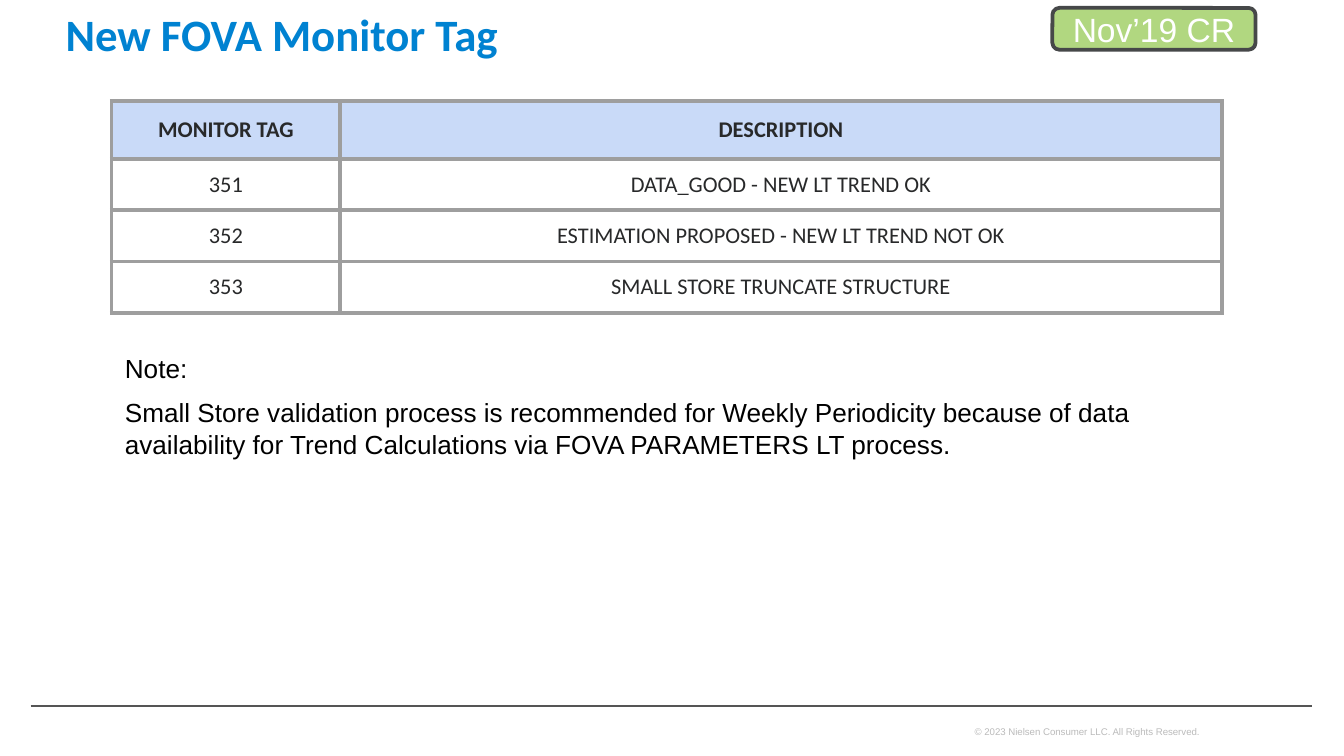
import pptx
import pptx.util
import pptx.dml.color
import pptx.enum.shapes
import pptx.enum.text
import pptx.oxml
import pptx.oxml.ns

Cm = pptx.util.Cm
Pt = pptx.util.Pt
RGBColor = pptx.dml.color.RGBColor
CENTER = pptx.enum.text.PP_ALIGN.CENTER
MIDDLE = pptx.enum.text.MSO_ANCHOR.MIDDLE

BLUE = RGBColor(0x00, 0x82, 0xD1)
GREEN = RGBColor(0xB1, 0xD7, 0x80)
SLATE = RGBColor(0x46, 0x48, 0x49)
WHITE = RGBColor(0xFF, 0xFF, 0xFF)
BLACK = RGBColor(0x00, 0x00, 0x00)
INK = RGBColor(0x28, 0x29, 0x2A)
PALE = RGBColor(0xC9, 0xDA, 0xF8)
GRID = RGBColor(0x9E, 0x9E, 0x9E)
RULE = RGBColor(0x55, 0x55, 0x55)
FAINT = RGBColor(0xBB, 0xBB, 0xBB)


def style(para, face, size, color, bold=False):
    for run in para.runs:
        run.font.name = face
        run.font.size = Pt(size)
        run.font.color.rgb = color
        run.font.bold = bold


def add_text(left, top, width, height, lines, face, size, color, bold=False):
    box = slide.shapes.add_textbox(Cm(left), Cm(top), Cm(width), Cm(height))
    frame = box.text_frame
    frame.word_wrap = True
    frame.text = "\n".join(lines)
    for para in frame.paragraphs:
        style(para, face, size, color, bold)
    return frame


deck = pptx.Presentation()
deck.slide_width = Cm(25.4)
deck.slide_height = Cm(14.28)
slide = deck.slides.add_slide(deck.slide_layouts[6])

foot = add_text(18.42, 13.59, 5.41, 0.48,
                ["© 2023 Nielsen Consumer LLC. All Rights Reserved."],
                "Arial", 5.2, FAINT)
foot.margin_left = foot.margin_right = 0

rule = slide.shapes.add_connector(
    pptx.enum.shapes.MSO_CONNECTOR.STRAIGHT,
    Cm(0.58), Cm(13.33), Cm(24.79), Cm(13.33))
rule.line.color.rgb = RULE
rule.line.width = Pt(1)
rule._element.spPr.append(pptx.oxml.parse_xml(
    f"<a:effectLst {pptx.oxml.ns.nsdecls('a')}/>"))

rows = [
    ("MONITOR TAG", "DESCRIPTION"),
    ("351", "DATA_GOOD - NEW LT TREND OK"),
    ("352", "ESTIMATION PROPOSED - NEW LT TREND NOT OK"),
    ("353", "SMALL STORE TRUNCATE STRUCTURE"),
]
table = slide.shapes.add_table(
    len(rows), 2, Cm(2.11), Cm(1.91), Cm(20.98), Cm(3.99)).table
table.first_row = False
table.horz_banding = False
for col, width in zip(table.columns, (4.32, 16.66)):
    col.width = Cm(width)
for r, row in enumerate(rows):
    head = r == 0
    table.rows[r].height = Cm(1.09 if head else 0.97)
    for c, text in enumerate(row):
        cell = table.cell(r, c)
        cell.text_frame.text = text
        cell.vertical_anchor = MIDDLE
        cell.margin_top = cell.margin_bottom = Cm(0.18)
        para = cell.text_frame.paragraphs[0]
        para.alignment = CENTER
        style(para, "Calibri", 12, INK, head)
        for side in ("lnL", "lnR", "lnT", "lnB"):
            cell._tc.get_or_add_tcPr().append(pptx.oxml.parse_xml(
                f'<a:{side} {pptx.oxml.ns.nsdecls("a")} w="{Pt(2.25)}">'
                f'<a:solidFill><a:srgbClr val="{GRID}"/></a:solidFill>'
                f'</a:{side}>'))
        if head:
            cell.fill.solid()
            cell.fill.fore_color.rgb = PALE
        else:
            cell.fill.background()

add_text(0.99, 0, 9.25, 0.94, ["New FOVA Monitor Tag"],
         "Calibri", 24, BLUE, True)

badge = slide.shapes.add_shape(
    pptx.enum.shapes.MSO_SHAPE.ROUNDED_RECTANGLE,
    Cm(19.89), Cm(0.15), Cm(3.84), Cm(0.79))
badge.shadow.inherit = False
badge.fill.solid()
badge.fill.fore_color.rgb = GREEN
badge.line.color.rgb = SLATE
badge.line.width = Pt(2)
badge.text_frame.text = "Nov’19 CR"
badge.text_frame.vertical_anchor = MIDDLE
label = badge.text_frame.paragraphs[0]
label.alignment = CENTER
style(label, "Arial", 18, WHITE)

note = add_text(2.11, 6.53, 20.8, 1.09, [
    "Note:",
    "Small Store validation process is recommended for Weekly Periodicity "
    "because of data availability for Trend Calculations via "
    "FOVA PARAMETERS LT process.",
], "Arial", 14, BLACK)
note.paragraphs[1].space_before = Pt(7)

deck.save("out.pptx")
